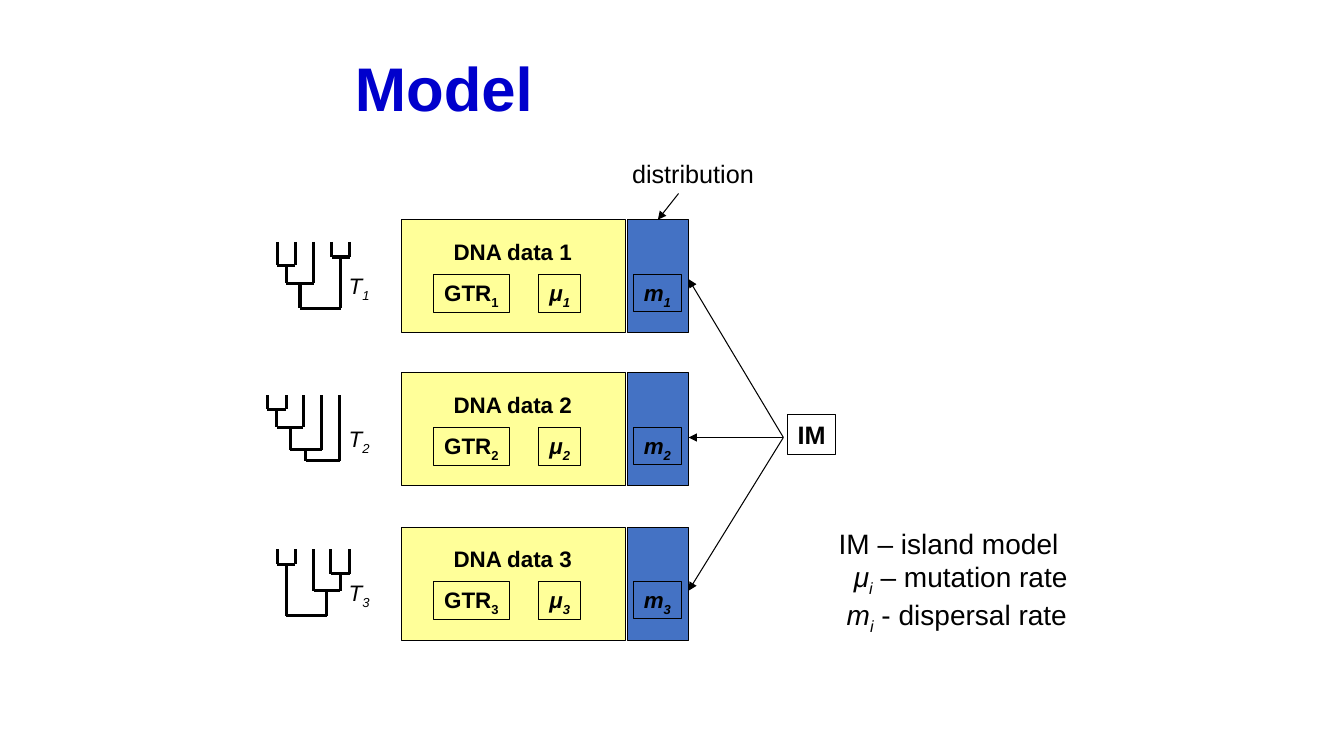
from lxml import etree
from pptx import Presentation
from pptx.dml.color import RGBColor
from pptx.enum.shapes import MSO_CONNECTOR, MSO_SHAPE
from pptx.enum.text import MSO_ANCHOR, MSO_AUTO_SIZE, PP_ALIGN
from pptx.oxml.ns import qn
from pptx.util import Inches, Pt

STRAIGHT, RECTANGLE = MSO_CONNECTOR.STRAIGHT, MSO_SHAPE.RECTANGLE
TOP, MIDDLE = MSO_ANCHOR.TOP, MSO_ANCHOR.MIDDLE
LEFT, CENTER = PP_ALIGN.LEFT, PP_ALIGN.CENTER
NO_FIT, GROW = MSO_AUTO_SIZE.NONE, MSO_AUTO_SIZE.SHAPE_TO_FIT_TEXT

BLACK, TITLE_BLUE, YELLOW, BLUE = "000000", "0000CC", "FFFF99", "4472C4"
TITLE_ONLY = 5

# A node is (left branch, right branch, depth of the join); a number is a tip.
ROWS = [
    (2.18, (((2.75, 2.93, 0.23), 3.11, 0.41), (3.29, 3.47, 0.15), 0.66)),
    (3.7, ((((2.65, 2.84, 0.14), 3.01, 0.32), 3.19, 0.54), 3.37, 0.65)),
    (5.23, ((2.75, 2.93, 0.15), (3.11, (3.28, 3.47, 0.24), 0.41), 0.66)),
]


def color(hex_string):
    return RGBColor.from_string(hex_string)


def format_run(run, size, bold=False, italic=False, subscript=False, ink=BLACK):
    run.font.name = "Arial"
    run.font.size = Pt(size)
    run.font.bold = bold
    run.font.italic = italic
    run.font.color.rgb = color(ink)
    if subscript:
        run._r.get_or_add_rPr().set("baseline", "-25000")


def add_symbol(paragraph, symbol, index, size, bold=False, italic=True):
    """Write a symbol followed by its subscript index."""
    for text, subscript in ((symbol, False), (index, True)):
        run = paragraph.add_run()
        run.text = text
        format_run(run, size, bold, italic, subscript)


def prepare_frame(frame, align):
    frame.word_wrap = False
    frame.auto_size = GROW
    frame.vertical_anchor = TOP
    frame.paragraphs[0].alignment = align
    return frame.paragraphs[0]


def add_label(slide, left, top, width, height, align=LEFT):
    """Add a text box and return its first paragraph."""
    box = slide.shapes.add_textbox(
        Inches(left), Inches(top), Inches(width), Inches(height))
    return prepare_frame(box.text_frame, align)


def add_box(slide, left, top, width, height, fill=None):
    box = slide.shapes.add_shape(
        RECTANGLE, Inches(left), Inches(top), Inches(width), Inches(height))
    box.shadow.inherit = False
    if fill:
        box.fill.solid()
        box.fill.fore_color.rgb = color(fill)
    else:
        box.fill.background()
    box.line.color.rgb = color(BLACK)
    box.line.width = Pt(0.75)
    return box


def add_framed_label(slide, left, top, width, height):
    """Add an unfilled box and return its centred first paragraph."""
    box = add_box(slide, left, top, width, height)
    return prepare_frame(box.text_frame, CENTER)


def add_line(shapes, start, end, width):
    line = shapes.add_connector(
        STRAIGHT, *(Inches(value) for value in (*start, *end)))
    line.line.color.rgb = color(BLACK)
    line.line.width = Pt(width)
    etree.SubElement(line._element.spPr, qn("a:effectLst"))
    return line


def add_arrow(slide, start, end):
    arrow = add_line(slide.shapes, start, end, 0.75)
    etree.SubElement(arrow.line._get_or_add_ln(), qn("a:tailEnd"), type="triangle")
    return arrow


def draw_branch(shapes, node, tips_y):
    """Draw everything above a node and return where its own stem starts."""
    if not isinstance(node, tuple):
        return node, tips_y
    left, right, depth = node
    join_y = tips_y + depth
    ends = []
    for child in (left, right):
        x, y = draw_branch(shapes, child, tips_y)
        add_line(shapes, (x, y), (x, join_y), 2.25)
        ends.append(x)
    add_line(shapes, (ends[0], join_y), (ends[1], join_y), 2.25)
    return sum(ends) / 2, join_y


def add_row(slide, number, top, tree):
    """Add one data set with its tree; return its dispersal column."""
    index = str(number)
    add_box(slide, 3.98, top, 2.22, 1.12, YELLOW)
    heading = add_label(slide, 4.39, top + 0.13, 1.39, 0.37, CENTER)
    heading.text = f"DNA data {index}"
    format_run(heading.runs[0], 16, bold=True)
    column = add_box(slide, 6.22, top, 0.61, 1.12, BLUE)
    draw_branch(slide.shapes.add_group_shape().shapes, tree, top + 0.22)
    for symbol, left, width, height, italic in (
            ("GTR", 4.3, 0.75, 0.38, False),
            ("μ", 5.34, 0.42, 0.38, True),
            ("m", 6.28, 0.48, 0.37, True)):
        label = add_framed_label(slide, left, top + 0.54, width, height)
        add_symbol(label, symbol, index, 16, True, italic)
    add_symbol(add_label(slide, 3.36, top + 0.47, 0.42, 0.37), "T", index, 16)
    return column


def add_title(slide):
    title = slide.shapes.title
    title.left, title.top = Inches(3.42), Inches(0.37)
    title.width, title.height = Inches(2.25), Inches(1.07)
    frame = title.text_frame
    frame.text = "Model"
    frame.auto_size = NO_FIT
    frame.vertical_anchor = MIDDLE
    frame.paragraphs[0].alignment = LEFT
    frame.paragraphs[0].line_spacing = 0.9
    format_run(frame.paragraphs[0].runs[0], 44, bold=True, ink=TITLE_BLUE)


def add_legend(slide):
    box = slide.shapes.add_textbox(
        Inches(8.22), Inches(5.17), Inches(2.57), Inches(1.11))
    first = prepare_frame(box.text_frame, LEFT)
    first.text = "IM – island model"
    format_run(first.runs[0], 20)
    for symbol, meaning, indent in (
            ("μ", " – mutation rate", 0.15), ("m", " - dispersal rate", 0.08)):
        entry = box.text_frame.add_paragraph()
        entry._p.get_or_add_pPr().set("marL", str(Inches(indent)))
        add_symbol(entry, symbol, "i", 20)
        run = entry.add_run()
        run.text = meaning
        format_run(run, 20)


def main():
    presentation = Presentation()
    presentation.slide_width = Inches(13.33)
    presentation.slide_height = Inches(7.5)
    slide = presentation.slides.add_slide(
        presentation.slide_layouts[TITLE_ONLY])
    add_title(slide)
    columns = [add_row(slide, number, top, tree)
               for number, (top, tree) in enumerate(ROWS, 1)]

    island_model = add_framed_label(slide, 7.81, 4.11, 0.48, 0.4)
    island_model.text = "IM"
    format_run(island_model.runs[0], 18, bold=True)
    for target_y in (2.77, 4.34, 5.86):
        add_arrow(slide, (7.77, 4.34), (6.83, target_y))

    distribution = add_label(slide, 6.17, 1.52, 1.42, 0.4)
    distribution.text = "distribution"
    format_run(distribution.runs[0], 18)
    add_arrow(slide, (6.73, 1.92), (6.52, 2.18)).end_connect(columns[0], 0)
    add_legend(slide)
    presentation.save("out.pptx")


if __name__ == "__main__":
    main()
